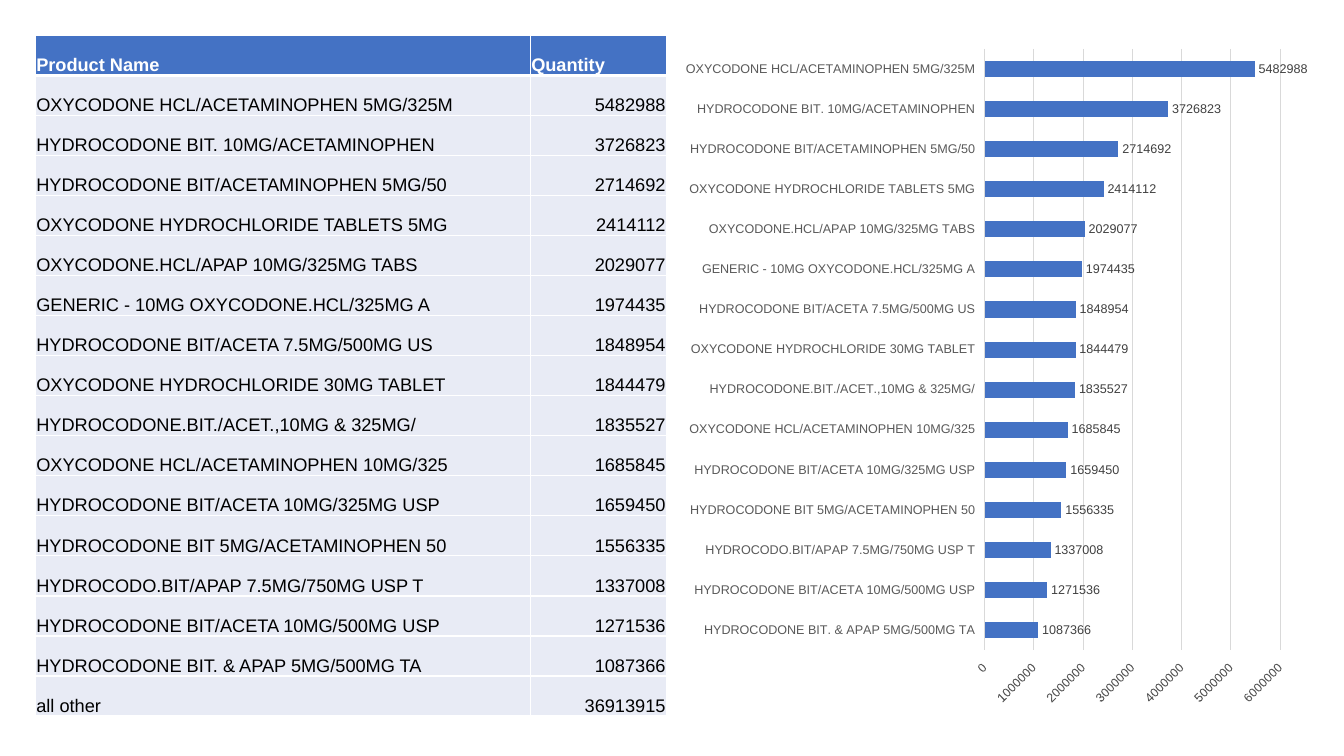
from dataclasses import dataclass

from lxml import etree
from pptx import Presentation
from pptx import util as u
from pptx.chart import data as chart_data
from pptx.dml.color import RGBColor
from pptx.enum import chart as chart_enum
from pptx.enum import text
from pptx.oxml import parse_xml
from pptx.oxml.ns import nsdecls, qn

PAGE_WIDTH, PAGE_HEIGHT = u.Inches(13.33), u.Inches(7.5)
FONT = "Arial"
BLUE = RGBColor(0x44, 0x72, 0xC4)
PALE_BLUE = RGBColor(0xE8, 0xEB, 0xF5)
WHITE = RGBColor(0xFF, 0xFF, 0xFF)
BLACK = RGBColor(0x00, 0x00, 0x00)
AXIS_GREY = RGBColor(0x59, 0x59, 0x59)
LABEL_GREY = RGBColor(0x40, 0x40, 0x40)
GRID_GREY = RGBColor(0xD9, 0xD9, 0xD9)


@dataclass(frozen=True)
class Product:
    name: str
    quantity: int


PRODUCTS = [
    Product("OXYCODONE HCL/ACETAMINOPHEN 5MG/325M", 5482988),
    Product("HYDROCODONE BIT. 10MG/ACETAMINOPHEN", 3726823),
    Product("HYDROCODONE BIT/ACETAMINOPHEN 5MG/50", 2714692),
    Product("OXYCODONE HYDROCHLORIDE TABLETS 5MG", 2414112),
    Product("OXYCODONE.HCL/APAP 10MG/325MG TABS", 2029077),
    Product("GENERIC - 10MG OXYCODONE.HCL/325MG A", 1974435),
    Product("HYDROCODONE BIT/ACETA 7.5MG/500MG US", 1848954),
    Product("OXYCODONE HYDROCHLORIDE 30MG TABLET", 1844479),
    Product("HYDROCODONE.BIT./ACET.,10MG & 325MG/", 1835527),
    Product("OXYCODONE HCL/ACETAMINOPHEN 10MG/325", 1685845),
    Product("HYDROCODONE BIT/ACETA 10MG/325MG USP", 1659450),
    Product("HYDROCODONE BIT 5MG/ACETAMINOPHEN 50", 1556335),
    Product("HYDROCODO.BIT/APAP 7.5MG/750MG USP T", 1337008),
    Product("HYDROCODONE BIT/ACETA 10MG/500MG USP", 1271536),
    Product("HYDROCODONE BIT. & APAP 5MG/500MG TA", 1087366),
]
ALL_OTHER = Product("all other", 36913915)


def across(percent: float) -> int:
    """Length as a percentage of the page width."""
    return round(PAGE_WIDTH * percent / 100)


def down(percent: float) -> int:
    """Length as a percentage of the page height."""
    return round(PAGE_HEIGHT * percent / 100)


TOP = down(4.67)
ROW_HEIGHT = down(5.3)
COLUMN_WIDTHS = [across(36.83), across(10.13)]


def style_font(font, *, size: float, color: RGBColor, bold: bool = False) -> None:
    font.name, font.size, font.bold = FONT, u.Pt(size), bold
    font.color.rgb = color


def add_borders(cell, *, bottom: float = 1, top: float = 1) -> None:
    """Draw white borders, with widths in points."""
    properties = cell._tc.get_or_add_tcPr()
    for position, (side, width) in enumerate(
        {"lnL": 1, "lnR": 1, "lnT": top, "lnB": bottom}.items()
    ):
        border = parse_xml(
            f'<a:{side} {nsdecls("a")} w="{u.Pt(width)}"><a:solidFill>'
            f'<a:srgbClr val="{WHITE}"/></a:solidFill></a:{side}>'
        )
        properties.insert(position, border)


def write_cell(cell, content: str, *, align=text.PP_ALIGN.LEFT,
               header: bool = False, below_header: bool = False) -> None:
    cell.margin_left = cell.margin_right = cell.margin_top = u.Inches(0.01)
    cell.margin_bottom = 0
    cell.vertical_anchor = text.MSO_ANCHOR.BOTTOM
    cell.fill.solid()
    cell.fill.fore_color.rgb = BLUE if header else PALE_BLUE
    para = cell.text_frame.paragraphs[0]
    para.alignment = align
    span = para.add_run()
    span.text = content
    style_font(span.font, size=13, color=WHITE if header else BLACK, bold=header)
    add_borders(cell, bottom=3 if header else 1, top=3 if below_header else 1)


def add_product_table(page, products: list[Product]) -> None:
    row_count = len(products) + 1
    table = page.shapes.add_table(
        row_count, len(COLUMN_WIDTHS), across(2.63), TOP,
        sum(COLUMN_WIDTHS), ROW_HEIGHT * row_count,
    ).table
    for column, width in zip(table.columns, COLUMN_WIDTHS):
        column.width = width
    for row in table.rows:
        row.height = ROW_HEIGHT
    for column, heading in enumerate(["Product Name", "Quantity"]):
        write_cell(table.cell(0, column), heading, header=True)
    for row, product in enumerate(products, start=1):
        write_cell(table.cell(row, 0), product.name, below_header=row == 1)
        write_cell(table.cell(row, 1), str(product.quantity),
                   align=text.PP_ALIGN.RIGHT, below_header=row == 1)


def place_plot(chart, **shares: float) -> None:
    """Fix the inner plot area at shares of the chart's size."""
    plot_area = chart._chartSpace.chart.plotArea
    for old_layout in plot_area.findall(qn("c:layout")):
        plot_area.remove(old_layout)
    layout = etree.Element(qn("c:layout"))
    manual = etree.SubElement(layout, qn("c:manualLayout"))
    settings = {"layoutTarget": "inner", "xMode": "edge", "yMode": "edge", **shares}
    for name, value in settings.items():
        etree.SubElement(manual, qn(f"c:{name}"), val=str(value))
    plot_area.insert(0, layout)


def add_quantity_chart(page, products: list[Product]) -> None:
    data = chart_data.CategoryChartData()
    data.categories = [product.name for product in reversed(products)]
    data.add_series("Series 1", [product.quantity for product in reversed(products)])
    chart = page.shapes.add_chart(
        chart_enum.XL_CHART_TYPE.BAR_CLUSTERED,
        across(50.34), TOP, across(46.96), down(90.4), data,
    ).chart
    chart.has_legend = chart.has_title = False
    style_font(chart.font, size=10, color=BLACK)
    place_plot(chart, x=0.49, y=0.02, w=0.47, h=0.88)

    for axis in (chart.category_axis, chart.value_axis):
        style_font(axis.tick_labels.font, size=9, color=AXIS_GREY)
        axis.format.line.fill.background()
        axis.major_tick_mark = chart_enum.XL_TICK_MARK.OUTSIDE
    values = chart.value_axis
    values.minimum_scale, values.maximum_scale, values.major_unit = 0, 6000000, 1000000
    values.tick_labels._element.txPr.bodyPr.set("rot", "-2700000")
    values.has_major_gridlines = True
    values.major_gridlines.format.line.color.rgb = GRID_GREY
    values.major_gridlines.format.line.width = u.Pt(0.75)

    plot = chart.plots[0]
    plot.gap_width, plot.vary_by_categories = 150, False
    bars = plot.series[0]
    bars.format.fill.solid()
    bars.format.fill.fore_color.rgb = BLUE
    labels = bars.data_labels
    labels.show_value = True
    labels.position = chart_enum.XL_LABEL_POSITION.OUTSIDE_END
    style_font(labels.font, size=9, color=LABEL_GREY)


def main() -> None:
    deck = Presentation()
    deck.slide_width, deck.slide_height = PAGE_WIDTH, PAGE_HEIGHT
    page = deck.slides.add_slide(deck.slide_layouts[6])
    add_product_table(page, [*PRODUCTS, ALL_OTHER])
    add_quantity_chart(page, PRODUCTS)
    deck.save("out.pptx")


if __name__ == "__main__":
    main()
